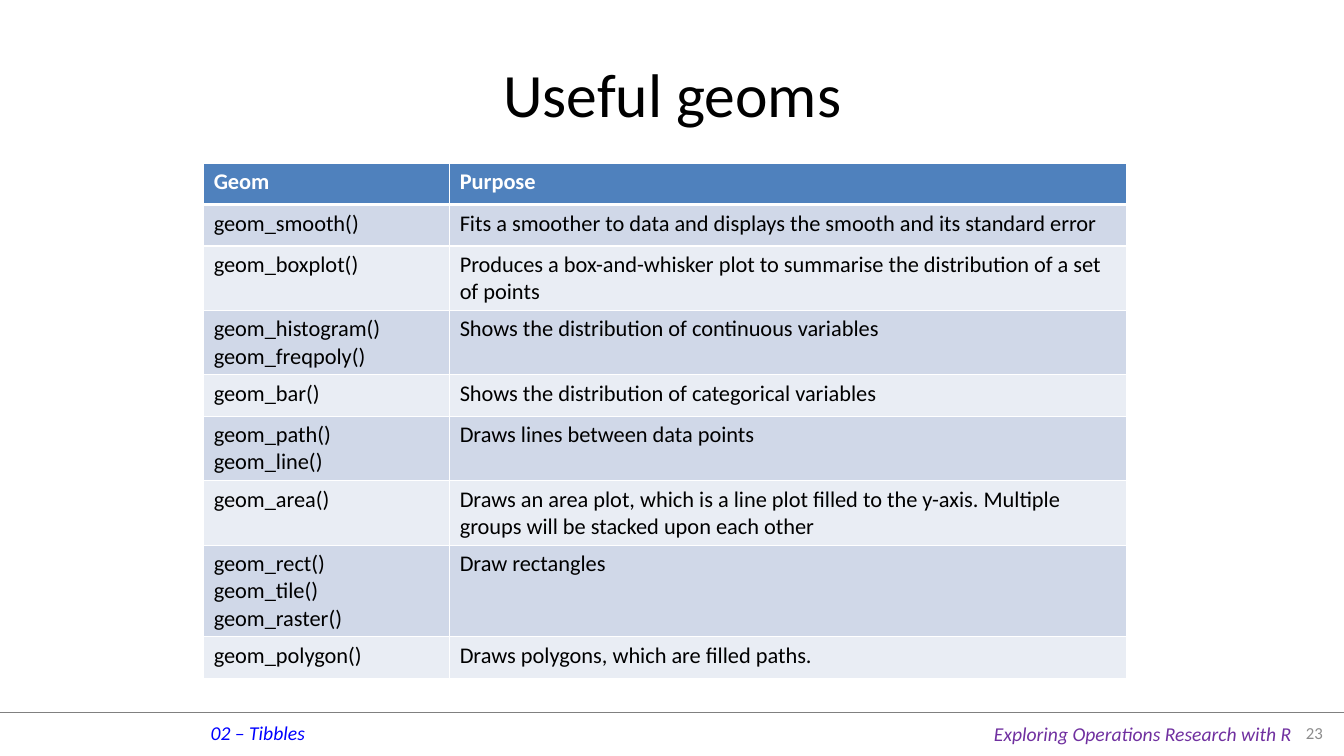
from lxml import etree
from pptx import Presentation, util as u
from pptx.dml.color import RGBColor
from pptx.enum import shapes, text
from pptx.oxml import ns

BLACK = RGBColor(0x00, 0x00, 0x00)
WHITE = RGBColor(0xFF, 0xFF, 0xFF)
RULE_GRAY = RGBColor(0x80, 0x80, 0x80)
NUMBER_GRAY = RGBColor(0x8C, 0x8C, 0x8C)
CHAPTER_BLUE = RGBColor(0x00, 0x00, 0xFF)
COURSE_PURPLE = RGBColor(0x70, 0x30, 0xA0)
HEADER_BLUE = RGBColor(0x4F, 0x81, 0xBD)
BANDS = (RGBColor(0xD0, 0xD8, 0xE8), RGBColor(0xE9, 0xED, 0xF4))

GEOMS = [
    ("Geom", "Purpose"),
    ("geom_smooth()", "Fits a smoother to data and displays the smooth and its standard error"),
    ("geom_boxplot()", "Produces a box-and-whisker plot to summarise the distribution of a set of points"),
    ("geom_histogram()\ngeom_freqpoly()", "Shows the distribution of continuous variables"),
    ("geom_bar()", "Shows the distribution of categorical variables"),
    ("geom_path()\ngeom_line()", "Draws lines between data points"),
    ("geom_area()", "Draws an area plot, which is a line plot filled to the y-axis. "
                    "Multiple groups will be stacked upon each other"),
    ("geom_rect()\ngeom_tile()\ngeom_raster()", "Draw rectangles"),
    ("geom_polygon()", "Draws polygons, which are filled paths."),
]
COLUMN_WIDTHS = (2.44, 6.71)
ROW_HEIGHTS = {1: 0.41, 2: 0.64, 3: 0.91}
ROW_LINES = (1, 1, 2, 2, 1, 2, 2, 3, 1)


class SlideBuilder:
    font = "Calibri"

    def __init__(self, presentation):
        self.slide = presentation.slides.add_slide(presentation.slide_layouts[5])

    def fill_text(self, frame, content, size, color, bold=False, italic=False, align=text.PP_ALIGN.LEFT):
        frame.text = content
        for paragraph in frame.paragraphs:
            paragraph.alignment = align
            for run in paragraph.runs:
                run.font.name = self.font
                run.font.size = u.Pt(size)
                run.font.bold = bold
                run.font.italic = italic
                run.font.color.rgb = color

    def title(self, content, left, top, width, height):
        shape = self.slide.shapes.title
        shape.left, shape.top, shape.width, shape.height = map(u.Inches, (left, top, width, height))
        shape.text_frame.vertical_anchor = text.MSO_ANCHOR.MIDDLE
        self.fill_text(shape.text_frame, content, 44, BLACK, align=text.PP_ALIGN.CENTER)

    def label(self, content, left, top, width, height, size, color, anchor=text.MSO_ANCHOR.TOP, **style):
        shape = self.slide.shapes.add_textbox(*map(u.Inches, (left, top, width, height)))
        shape.text_frame.word_wrap = False
        shape.text_frame.vertical_anchor = anchor
        self.fill_text(shape.text_frame, content, size, color, **style)

    def rule(self, left, right, top, color, width):
        connector = self.slide.shapes.add_connector(
            shapes.MSO_CONNECTOR.STRAIGHT, u.Inches(left), u.Inches(top), u.Inches(right), u.Inches(top))
        connector.line.color.rgb = color
        connector.line.width = u.Pt(width)
        properties = connector._element.find(ns.qn("p:spPr"))
        etree.SubElement(properties, ns.qn("a:effectLst"))

    def borders(self, cell, color, **widths):
        properties = cell._tc.get_or_add_tcPr()
        for position, side in enumerate("LRTB"):
            line = etree.Element(ns.qn(f"a:ln{side}"), w=str(u.Pt(widths.get(side, 1))))
            fill = etree.SubElement(line, ns.qn("a:solidFill"))
            etree.SubElement(fill, ns.qn("a:srgbClr"), val=str(color))
            properties.insert(position, line)

    def table(self, rows, left, top):
        heights = [ROW_HEIGHTS[lines] for lines in ROW_LINES]
        table = self.slide.shapes.add_table(
            len(rows), len(COLUMN_WIDTHS), u.Inches(left), u.Inches(top),
            u.Inches(sum(COLUMN_WIDTHS)), u.Inches(sum(heights))).table
        for column, width in zip(table.columns, COLUMN_WIDTHS):
            column.width = u.Inches(width)
        for index, (row, height, contents) in enumerate(zip(table.rows, heights, rows)):
            row.height = u.Inches(height)
            header = index == 0
            edge = {0: {"B": 3}, 1: {"T": 3}}.get(index, {})
            for cell, content in zip(row.cells, contents):
                self.fill_text(cell.text_frame, content, 16, WHITE if header else BLACK, bold=header)
                cell.fill.solid()
                cell.fill.fore_color.rgb = HEADER_BLUE if header else BANDS[(index - 1) % 2]
                self.borders(cell, WHITE, **edge)


def main():
    presentation = Presentation()
    presentation.slide_width = u.Inches(13.33)
    presentation.slide_height = u.Inches(7.5)
    builder = SlideBuilder(presentation)
    builder.rule(0, 13.33, 7.07, RULE_GRAY, 0.25)
    builder.label("02 – Tibbles", 1.99, 7.1, 1.15, 0.34, 14, CHAPTER_BLUE, italic=True)
    builder.label("Exploring Operations Research with R", 9.76, 7.11, 3.18, 0.34, 14, COURSE_PURPLE, italic=True)
    builder.title("Useful geoms", 0.67, 0.3, 12, 1.25)
    builder.label("23", 12.67, 7.07, 0.55, 0.39, 12, NUMBER_GRAY,
                  anchor=text.MSO_ANCHOR.MIDDLE, align=text.PP_ALIGN.RIGHT)
    builder.table(GEOMS, 2.02, 1.62)
    presentation.save("out.pptx")


if __name__ == "__main__":
    main()
